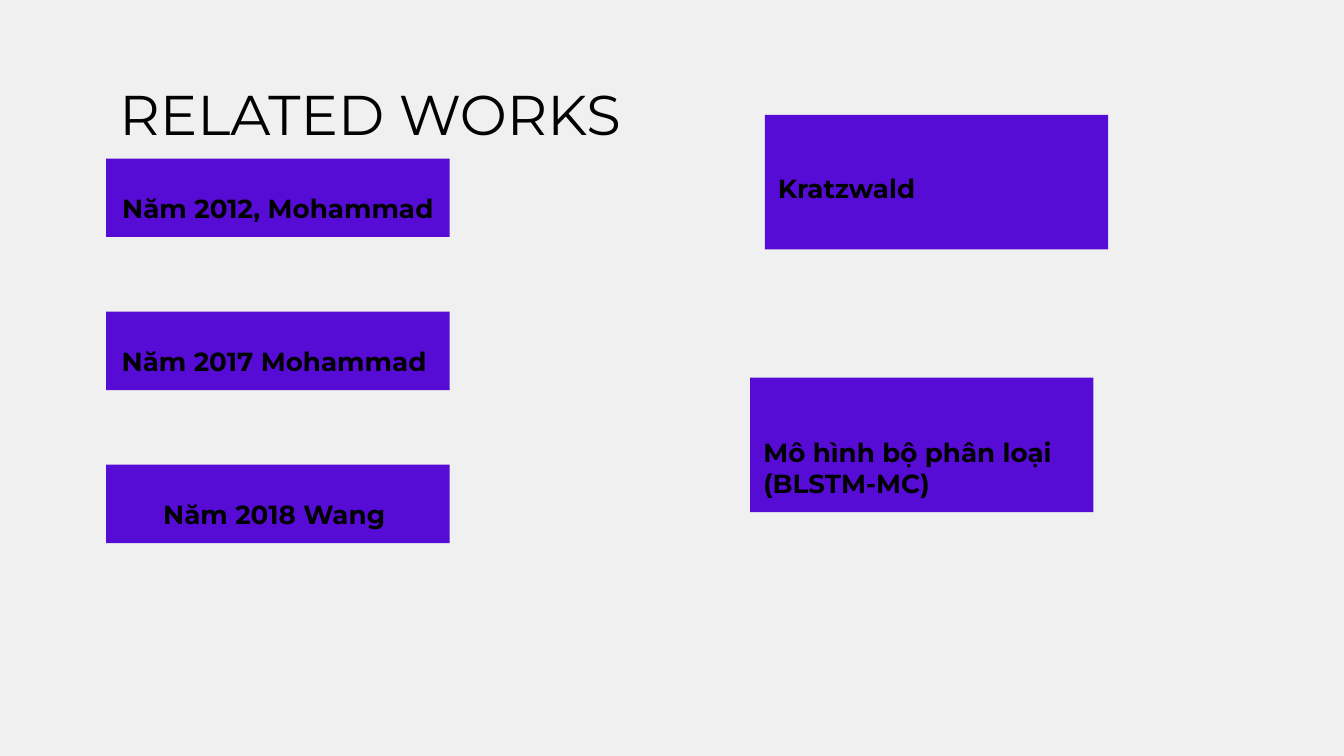
import dataclasses

import pptx
import pptx.dml.color
import pptx.enum.shapes
import pptx.enum.text
import pptx.slide
import pptx.util

COLORS = {"background": "F0F0F0", "box": "560CD5", "title": "000300", "label": "000000"}
FONT = "Montserrat"
INSET = 7.2
LABEL_SIZE = 14
LINE_HEIGHT = 17.1
BOX_WIDTH = 184
YEAR_LEFT, YEAR_TOP, YEAR_STEP, YEAR_HEIGHT = 56.9, 85, 82, 42
MODEL_HEIGHT = 72
YEAR_LABELS = ("Năm 2012, Mohammad ", "Năm 2017 Mohammad ", "Năm 2018 Wang ")


@dataclasses.dataclass(frozen=True)
class WorkBox:
    """A labelled box, with lengths in points."""

    label: str
    left: float
    top: float
    height: float
    alignment: pptx.enum.text.PP_ALIGN
    bottom_inset: float = INSET


def color(name: str) -> pptx.dml.color.RGBColor:
    return pptx.dml.color.RGBColor.from_string(COLORS[name])


def write_text(
    shape, text: str, size: float, color_name: str, bold: bool,
    alignment: pptx.enum.text.PP_ALIGN, anchor: pptx.enum.text.MSO_ANCHOR,
    bottom_inset: float = INSET,
) -> None:
    frame = shape.text_frame
    frame.word_wrap = True
    frame.vertical_anchor = anchor
    frame.margin_left = frame.margin_right = frame.margin_top = pptx.util.Pt(INSET)
    frame.margin_bottom = pptx.util.Pt(bottom_inset)
    paragraph = frame.paragraphs[0]
    paragraph.alignment = alignment
    run = paragraph.add_run()
    run.text = text
    run.font.name = FONT
    run.font.size = pptx.util.Pt(size)
    run.font.bold = bold
    run.font.color.rgb = color(color_name)


def add_title(slide: pptx.slide.Slide, text: str) -> None:
    shape = slide.shapes.add_textbox(
        pptx.util.Pt(YEAR_LEFT), pptx.util.Pt(35.3), pptx.util.Pt(607), pptx.util.Pt(45.4)
    )
    write_text(shape, text, 30, "title", False,
               pptx.enum.text.PP_ALIGN.LEFT, pptx.enum.text.MSO_ANCHOR.TOP)


def add_work_box(slide: pptx.slide.Slide, box: WorkBox) -> None:
    shape = slide.shapes.add_shape(
        pptx.enum.shapes.MSO_SHAPE.RECTANGLE,
        pptx.util.Pt(box.left), pptx.util.Pt(box.top),
        pptx.util.Pt(BOX_WIDTH), pptx.util.Pt(box.height),
    )
    shape.shadow.inherit = False
    shape.fill.solid()
    shape.fill.fore_color.rgb = color("box")
    shape.line.fill.background()
    write_text(shape, box.label, LABEL_SIZE, "label", True, box.alignment,
               pptx.enum.text.MSO_ANCHOR.BOTTOM, box.bottom_inset)


def main() -> None:
    presentation = pptx.Presentation()
    presentation.slide_width = pptx.util.Pt(720)
    presentation.slide_height = pptx.util.Pt(405)
    slide = presentation.slides.add_slide(presentation.slide_layouts[6])
    slide.background.fill.solid()
    slide.background.fill.fore_color.rgb = color("background")

    add_title(slide, "RELATED WORKS")
    center, left = pptx.enum.text.PP_ALIGN.CENTER, pptx.enum.text.PP_ALIGN.LEFT
    year_boxes = [
        WorkBox(label, YEAR_LEFT, YEAR_TOP + index * YEAR_STEP, YEAR_HEIGHT, center)
        for index, label in enumerate(YEAR_LABELS)
    ]
    model_boxes = [
        WorkBox("Kratzwald", 409.7, 61.6, MODEL_HEIGHT, left, INSET + LINE_HEIGHT),
        WorkBox("Mô hình bộ phân loại (BLSTM-MC)", 401.8, 202.4, MODEL_HEIGHT, left),
    ]
    for box in year_boxes + model_boxes:
        add_work_box(slide, box)

    presentation.save("out.pptx")


if __name__ == "__main__":
    main()
